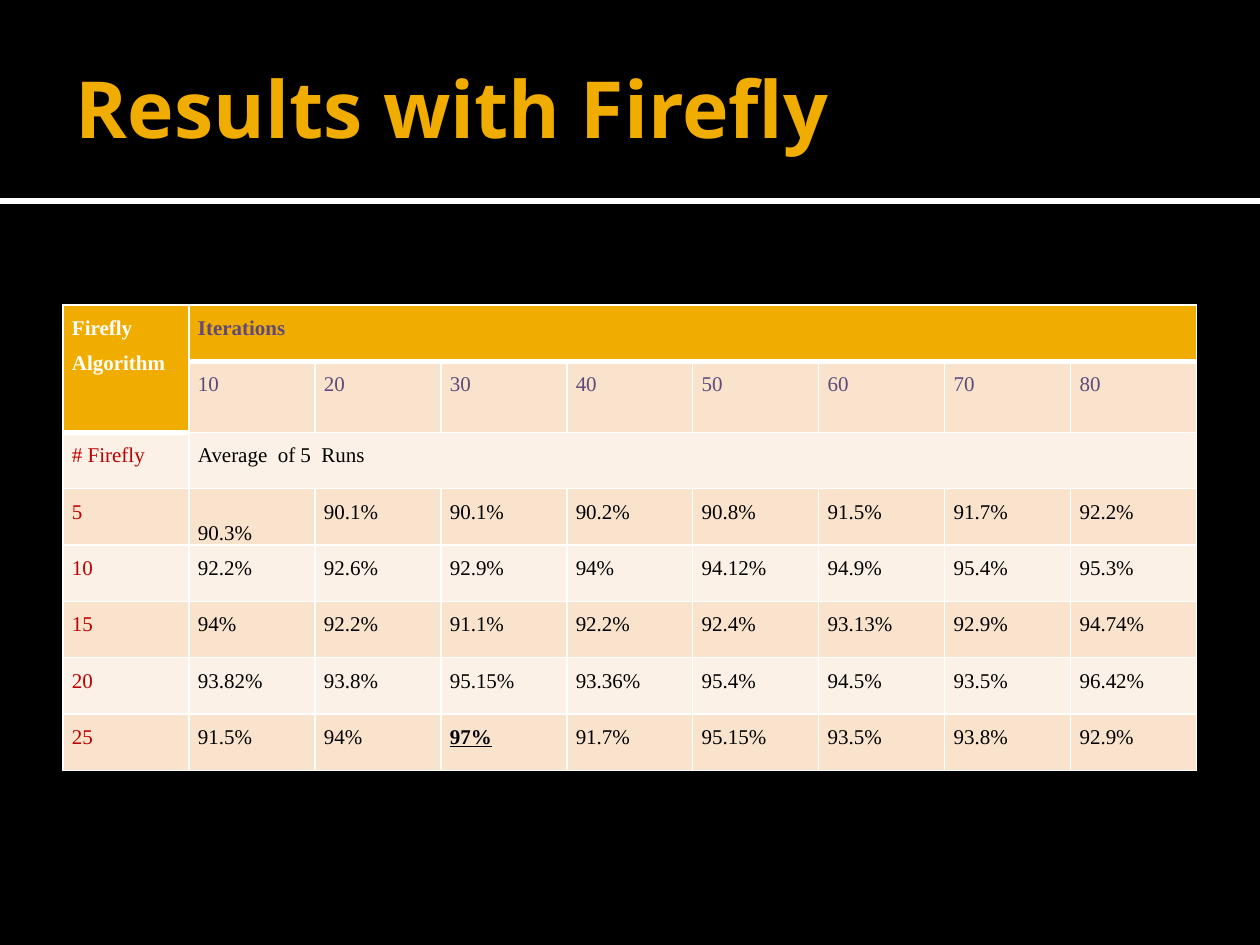
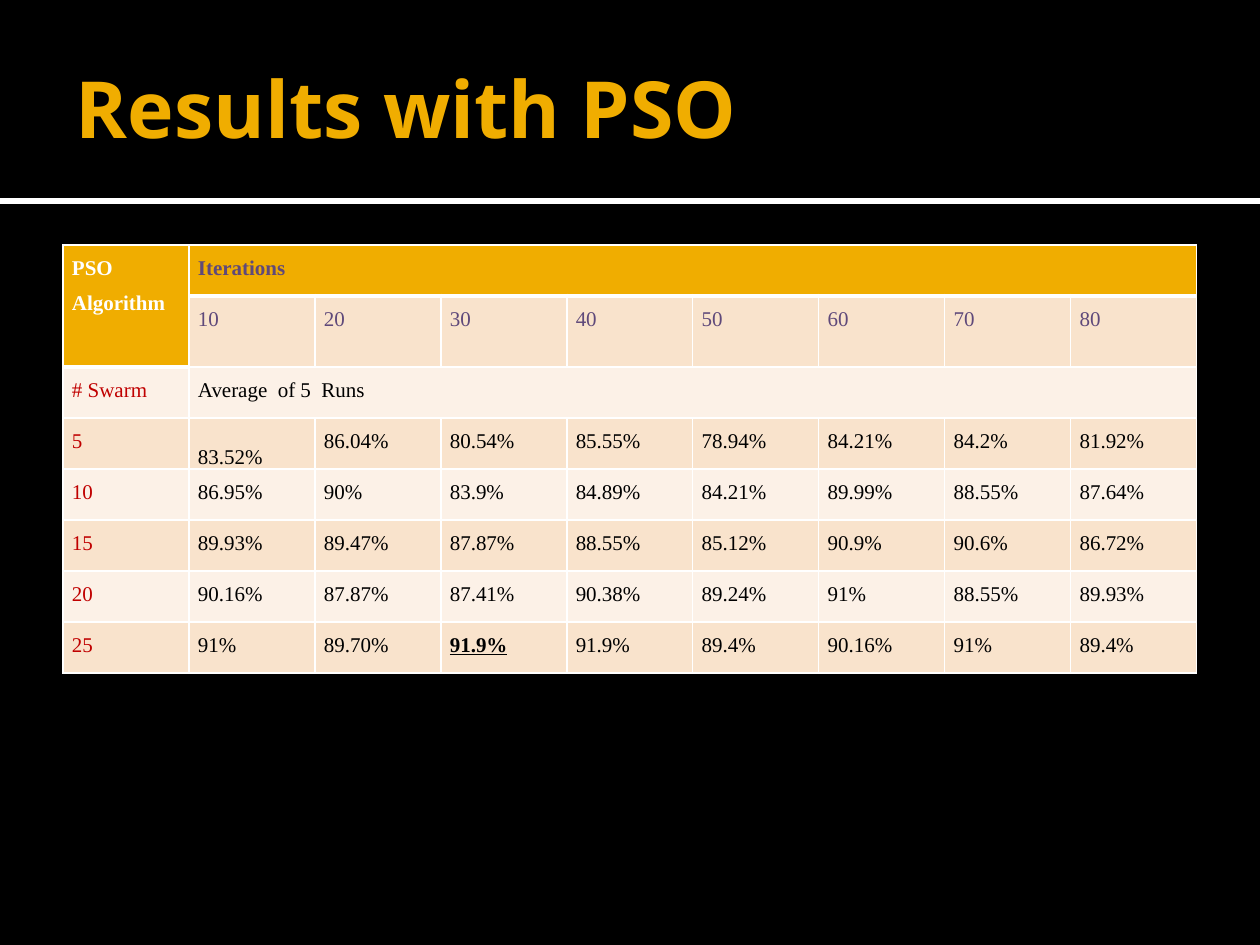
from lxml import etree
from pptx import Presentation
from pptx.dml.color import RGBColor
from pptx.enum.shapes import MSO_SHAPE as SHAPE
from pptx.enum.text import MSO_ANCHOR as ANCHOR, MSO_AUTO_SIZE as AUTO_SIZE, PP_ALIGN as ALIGN
from pptx.oxml.ns import qn
from pptx.util import Pt

PX = 914400 // 126  # EMU per pixel

BLACK = RGBColor(0x00, 0x00, 0x00)
WHITE = RGBColor(0xFF, 0xFF, 0xFF)
GOLD = RGBColor(0xF0, 0xAD, 0x00)
PEACH = RGBColor(0xF9, 0xE3, 0xCC)
CREAM = RGBColor(0xFC, 0xF1, 0xE7)
PURPLE = RGBColor(0x5F, 0x49, 0x7A)
RED = RGBColor(0xC0, 0x00, 0x00)

ITERATIONS = "10 20 30 40 50 60 70 80".split()
BEST = (7, 3)  # row and column of the highlighted result
NUMBER_ROW_HEIGHT = 71

RESULTS = [
    dict(algorithm="Firefly", population="# Firefly", top=305, height=451, accuracy="""
        5  90.3% 90.1% 90.1% 90.2% 90.8% 91.5% 91.7% 92.2%
        10 92.2% 92.6% 92.9% 94% 94.12% 94.9% 95.4% 95.3%
        15 94% 92.2% 91.1% 92.2% 92.4% 93.13% 92.9% 94.74%
        20 93.82% 93.8% 95.15% 93.36% 95.4% 94.5% 93.5% 96.42%
        25 91.5% 94% 97% 91.7% 95.15% 93.5% 93.8% 92.9%"""),
    dict(algorithm="PSO", population="# Swarm", top=245, height=408, accuracy="""
        5  83.52% 86.04% 80.54% 85.55% 78.94% 84.21% 84.2% 81.92%
        10 86.95% 90% 83.9% 84.89% 84.21% 89.99% 88.55% 87.64%
        15 89.93% 89.47% 87.87% 88.55% 85.12% 90.9% 90.6% 86.72%
        20 90.16% 87.87% 87.41% 90.38% 89.24% 91% 88.55% 89.93%
        25 91% 89.70% 91.9% 91.9% 89.4% 90.16% 91% 89.4%"""),
]


def write(frame, text, font="Times New Roman", size=12, color=BLACK, bold=False,
          underline=False, align=ALIGN.JUSTIFY, spacing=1.5, after=10):
    """Fill a text frame, one paragraph a line, with space after the last."""
    lines = text.split("\n")
    for number, line in enumerate(lines):
        paragraph = frame.paragraphs[0] if number == 0 else frame.add_paragraph()
        paragraph.alignment = align
        paragraph.line_spacing = spacing
        paragraph.space_after = Pt(after if line is lines[-1] else 0)
        run = paragraph.add_run()
        run.text = line
        run.font.name, run.font.size = font, Pt(size)
        run.font.bold, run.font.underline = bold, underline
        run.font.color.rgb = color


def add_borders(cell, top, bottom):
    """Draw white cell borders; top and bottom widths are in points."""
    properties = cell._tc.get_or_add_tcPr()
    for side, width in (("L", 1), ("R", 1), ("T", top), ("B", bottom)):
        line = etree.SubElement(properties, qn(f"a:ln{side}"), w=str(Pt(width)))
        fill = etree.SubElement(line, qn("a:solidFill"))
        etree.SubElement(fill, qn("a:srgbClr"), val=str(WHITE))


prs = Presentation()
prs.slide_width, prs.slide_height = 1260 * PX, 945 * PX

# Shared background and title position
background = prs.slide_master.background.fill
background.solid()
background.fore_color.rgb = BLACK
layout = prs.slide_layouts[5]
heading = layout.placeholders[0]
heading.left, heading.top, heading.width, heading.height = 63 * PX, 21 * PX, 1134 * PX, 173 * PX
heading_frame = heading.text_frame
heading_frame.vertical_anchor = ANCHOR.MIDDLE
heading_frame.auto_size = AUTO_SIZE.NONE
heading_frame.margin_left = 13 * PX
heading_frame.margin_right = heading_frame.margin_top = heading_frame.margin_bottom = 6 * PX

slides = [prs.slides.add_slide(layout) for _ in RESULTS]

# Shared bands: made on a slide, then moved to the back of the layout
for position, (top, height, color) in enumerate([(198, 6, WHITE), (0, 198, BLACK)]):
    band = slides[0].shapes.add_shape(SHAPE.RECTANGLE, 0, top * PX, 1260 * PX, height * PX)
    band.shadow.inherit = False
    band.fill.solid()
    band.fill.fore_color.rgb = color
    band.line.fill.background()
    layout.shapes.element.insert(2 + position, band.element)

for slide, result in zip(slides, RESULTS):
    algorithm = result["algorithm"]
    write(slide.shapes.title.text_frame, f"Results with {algorithm}", font="Open Sans",
          size=45, color=GOLD, bold=True, align=ALIGN.LEFT, spacing=1.0, after=0)

    grid = [
        [f"{algorithm}\nAlgorithm", "Iterations"] + [""] * 7,
        [""] + ITERATIONS,
        [result["population"], "Average  of 5  Runs"] + [""] * 7,
    ] + [line.split() for line in result["accuracy"].strip().split("\n")]

    table = slide.shapes.add_table(len(grid), len(grid[0]), 63 * PX, result["top"] * PX,
                                   1134 * PX, result["height"] * PX).table
    table.rows[1].height = NUMBER_ROW_HEIGHT * PX
    table.cell(0, 0).merge(table.cell(1, 0))
    table.cell(0, 1).merge(table.cell(0, 8))
    table.cell(2, 1).merge(table.cell(2, 8))

    for row, texts in enumerate(grid):
        for col, text in enumerate(texts):
            cell = table.cell(row, col)
            header = row == 0 or (row, col) == (1, 0)
            below_header = row == 1 or (row, col) == (2, 0)
            add_borders(cell, top=3 if below_header else 1, bottom=3 if header else 1)
            cell.fill.solid()
            cell.fill.fore_color.rgb = GOLD if header else PEACH if row % 2 else CREAM
            cell.margin_left = cell.margin_right = 9 * PX
            cell.margin_top = cell.margin_bottom = 0
            cell.vertical_anchor = ANCHOR.BOTTOM if (row, col) == (3, 1) else ANCHOR.TOP
            if not text:
                continue
            if col == 0:
                color = WHITE if header else RED
            else:
                color = PURPLE if row < 2 else BLACK
            best = (row, col) == BEST
            write(cell.text_frame, text, color=color, bold=header or best, underline=best)

prs.save("out.pptx")
